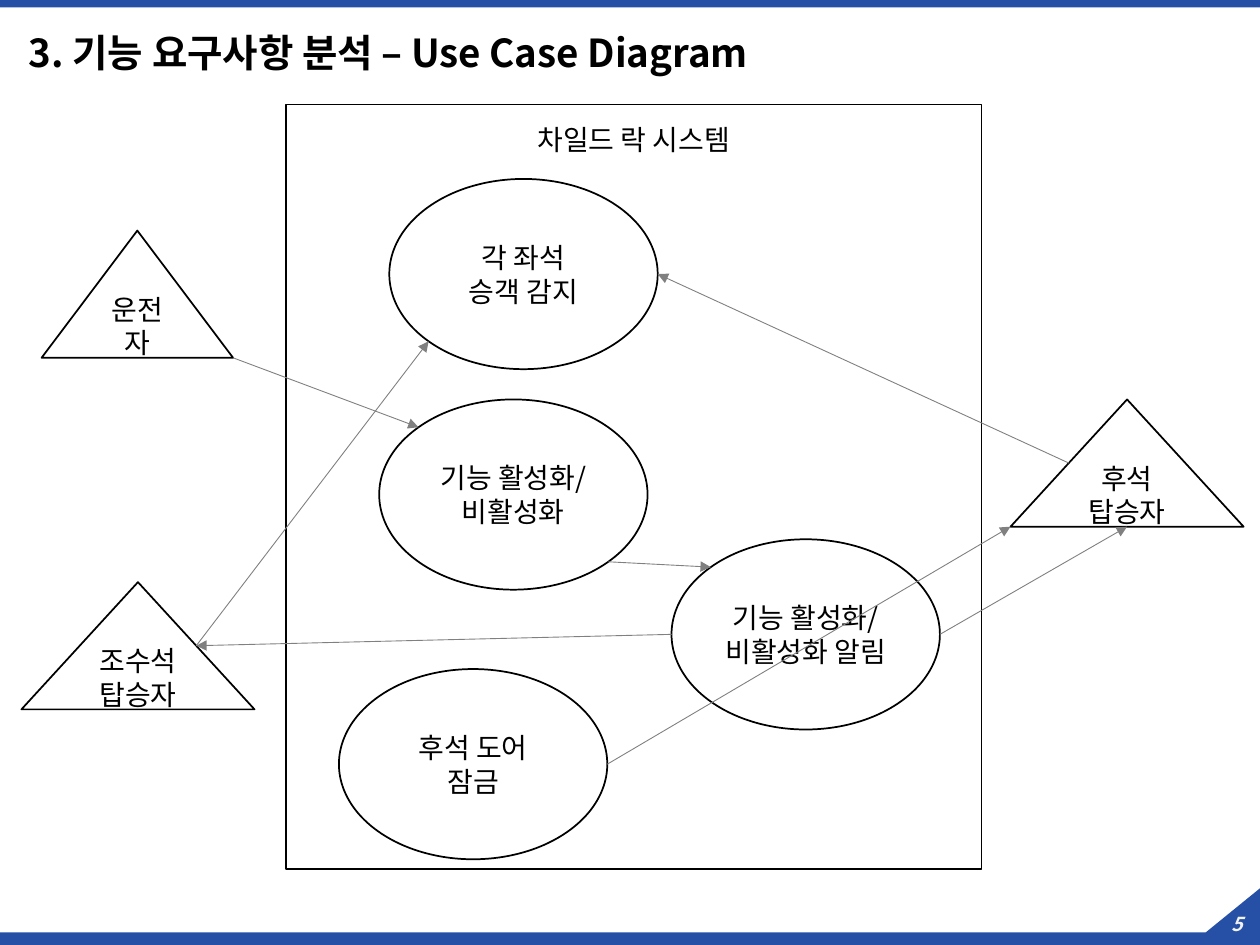
from pptx import Presentation
from pptx.dml.color import RGBColor
from pptx.enum import shapes, text
from pptx.oxml.ns import qn
from pptx.util import Inches, Pt
from lxml import etree

FONT = "Noto Sans CJK KR"
BLUE = RGBColor(0x25, 0x50, 0xA6)
BLACK = RGBColor(0, 0, 0)
WHITE = RGBColor(0xFF, 0xFF, 0xFF)
PALE = RGBColor(0xF2, 0xF2, 0xF2)
GRAY = RGBColor(0x80, 0x80, 0x80)

SLIDE_W, SLIDE_H = 10, 7.5
SYSTEM_BOX = (2.27, 0.83, 5.52, 6.07)
CASE_SIZE = (2.13, 1.51)
ACTOR_H = 1.01

# key: (left, top, label)
USE_CASES = {
    "toggle": (3.01, 3.17, "기능 활성화/\n비활성화"),
    "detect": (3.09, 1.42, "각 좌석\n승객 감지"),
    "lock": (2.69, 5.31, "후석 도어\n잠금"),
    "notify": (5.33, 4.28, "기능 활성화/\n비활성화 알림"),
}
# key: (left, top, width, label)
ACTORS = {
    "driver": (0.33, 1.83, 1.52, "운전자"),
    "front": (0.17, 4.62, 1.85, "조수석 탑승자"),
    "rear": (8.02, 3.17, 1.85, "후석\n탑승자"),
}

# Connection sites as fractions of a shape's box
NEAR, FAR = 0.5 - 0.125 ** 0.5, 0.5 + 0.125 ** 0.5
ELLIPSE_SITES = {
    "left": (0, 0.5), "right": (1, 0.5), "top left": (NEAR, NEAR),
    "bottom left": (NEAR, FAR), "bottom right": (FAR, FAR),
}
TRIANGLE_SITES = {
    "left": (0.25, 0.5), "right": (0.75, 0.5), "bottom": (0.5, 1),
    "bottom left": (0, 1), "bottom right": (1, 1),
}
LINKS = [
    (("rear", "left"), ("detect", "right")),
    (("front", "right"), ("detect", "bottom left")),
    (("notify", "right"), ("rear", "bottom")),
    (("notify", "left"), ("front", "right")),
    (("toggle", "bottom right"), ("notify", "top left")),
    (("driver", "bottom right"), ("toggle", "top left")),
    (("lock", "right"), ("rear", "bottom left")),
]


def write(shape, content, size, color=BLACK, align=text.PP_ALIGN.CENTER,
          anchor=text.MSO_ANCHOR.MIDDLE, bold=False, italic=False):
    frame = shape.text_frame
    frame.text = content
    frame.word_wrap = True
    frame.vertical_anchor = anchor
    for paragraph in frame.paragraphs:
        paragraph.alignment = align
        for run in paragraph.runs:
            font = run.font
            font.name, font.size = FONT, Pt(size)
            font.bold, font.italic = bold, italic
            font.color.rgb = color
            east_asian = etree.SubElement(run._r.get_or_add_rPr(), qn("a:ea"))
            east_asian.set("typeface", FONT)
    return frame


def paint(shape, fill, line=None):
    shape.shadow.inherit = False
    shape.fill.solid()
    shape.fill.fore_color.rgb = fill
    if line is None:
        shape.line.fill.background()
    else:
        shape.line.color.rgb = line
        shape.line.width = Pt(1)


def add_outlined(slide, kind, box):
    shape = slide.shapes.add_shape(kind, *map(Inches, box))
    paint(shape, WHITE, BLACK)
    return shape


def add_header(slide, box):
    left, top, width, _ = box
    bar = slide.shapes.add_shape(shapes.MSO_SHAPE.RECTANGLE, Inches(left),
                                 Inches(top), Inches(width), Inches(0.06))
    paint(bar, BLUE)
    title = slide.shapes.add_textbox(Inches(left + 0.13), Inches(top + 0.21),
                                     Inches(9.47), Inches(0.46))
    frame = write(title, "3. 기능 요구사항 분석 – Use Case Diagram", 22,
                  align=text.PP_ALIGN.LEFT, bold=True)
    frame.paragraphs[0].line_spacing = 0.9


def add_footer(slide, box):
    """Draw the bottom band, which rises to a page-number corner."""
    left, top, width, height = box
    right, bottom = left + width, top + height
    band_top = bottom - 0.1
    outline = [(right, bottom), (left, bottom), (left, band_top),
               (right - 0.43, band_top)]
    builder = slide.shapes.build_freeform(Inches(right), Inches(top))
    builder.add_line_segments([(Inches(x), Inches(y)) for x, y in outline])
    paint(builder.convert_to_shape(), BLUE)

    number = slide.shapes.add_textbox(Inches(right - 0.39), Inches(top + 0.14),
                                      Inches(0.42), Inches(0.29))
    frame = write(number, "5", 11, PALE, bold=True, italic=True)
    frame.margin_left = frame.margin_right = 0
    frame.margin_top = frame.margin_bottom = 0


def add_system(slide, box):
    system = add_outlined(slide, shapes.MSO_SHAPE.RECTANGLE, box)
    frame = write(system, "차일드 락 시스템", 16, anchor=text.MSO_ANCHOR.TOP)
    frame.margin_top = Inches(0.14)


def add_link(slide, start, end):
    link = slide.shapes.add_connector(shapes.MSO_CONNECTOR.STRAIGHT,
                                      *map(Inches, start + end))
    link.line.color.rgb = GRAY
    link.line.width = Pt(0.5)
    etree.SubElement(link.line._get_or_add_ln(), qn("a:tailEnd"), type="triangle")
    etree.SubElement(link._element.spPr, qn("a:effectLst"))


def add_diagram(slide, box):
    left, top = box[:2]
    add_system(slide, tuple(a + b for a, b in zip(SYSTEM_BOX, (left, top, 0, 0))))
    nodes = {}
    for key, (x, y, label) in USE_CASES.items():
        node_box = (left + x, top + y, *CASE_SIZE)
        write(add_outlined(slide, shapes.MSO_SHAPE.OVAL, node_box), label, 16)
        nodes[key] = node_box, ELLIPSE_SITES
    for key, (x, y, width, label) in ACTORS.items():
        node_box = (left + x, top + y, width, ACTOR_H)
        triangle = shapes.MSO_SHAPE.ISOSCELES_TRIANGLE
        write(add_outlined(slide, triangle, node_box), label, 16)
        nodes[key] = node_box, TRIANGLE_SITES

    def site(key, name):
        (x, y, width, height), sites = nodes[key]
        across, down = sites[name]
        return x + across * width, y + down * height

    for source, target in LINKS:
        add_link(slide, site(*source), site(*target))


def main():
    deck = Presentation()
    deck.slide_width, deck.slide_height = Inches(SLIDE_W), Inches(SLIDE_H)
    slide = deck.slides.add_slide(deck.slide_layouts[6])
    add_header(slide, (0, 0, SLIDE_W, 0.67))
    add_footer(slide, (0, 7.05, SLIDE_W, 0.45))
    add_diagram(slide, (0, 0, SLIDE_W, SLIDE_H))
    deck.save("out.pptx")


if __name__ == "__main__":
    main()
